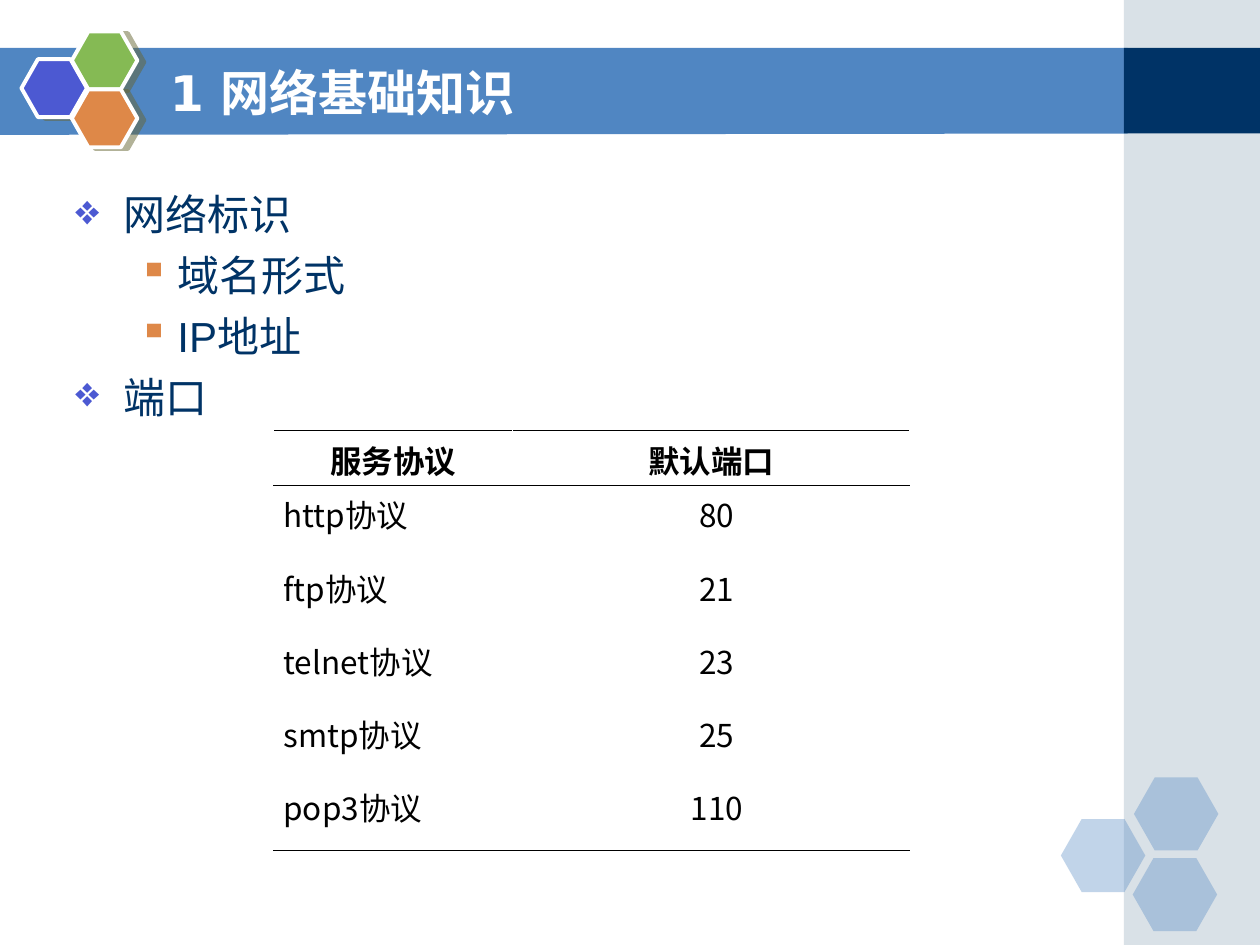
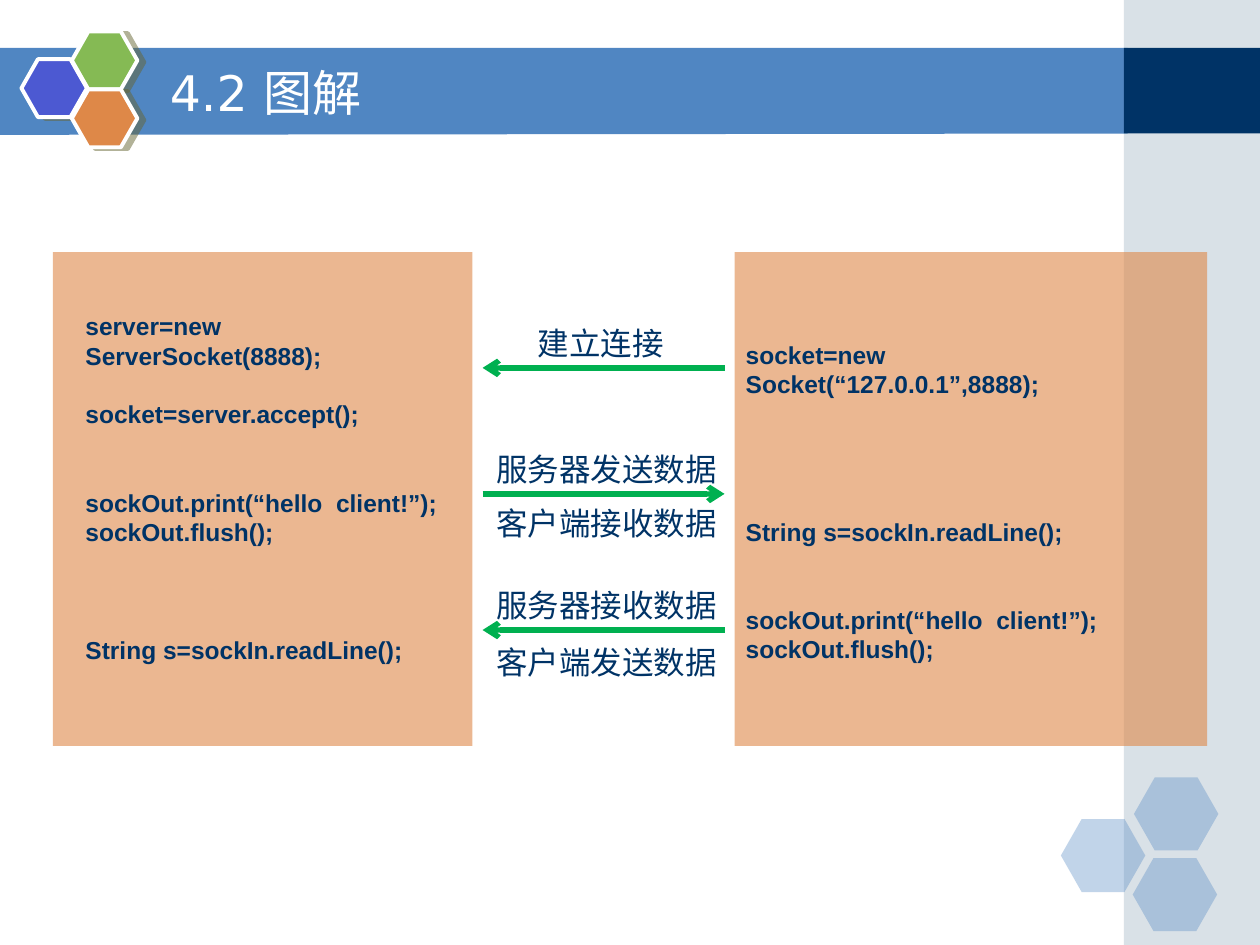
from lxml.etree import SubElement
from pptx import Presentation
from pptx.dml.color import RGBColor
from pptx.enum.shapes import MSO_CONNECTOR, MSO_SHAPE
from pptx.enum.text import MSO_ANCHOR, PP_ALIGN
from pptx.oxml.ns import qn
from pptx.util import Inches, Pt

COLORS = {
    "band": "5086C2", "side": "A0B5C4", "navy": "003366", "white": "FFFFFF",
    "black": "000000", "violet": "4C59D2", "green": "85BA54",
    "orange": "DE8848", "arrow": "00B050", "shadow": "666633",
}
CJK_FONT = "Noto Sans CJK SC"
CJK_LINE = 1.29
CODE_LINE = 16.8

TITLE = {"size": Pt(28), "name": "DejaVu Sans"}
TOPIC = {"size": Pt(24), "name": "DejaVu Sans"}
DETAIL = {"size": Pt(24), "name": "Arial"}
LABEL = {"size": Pt(18), "name": "Arial"}
CODE = {"size": Pt(14), "name": "Arial", "bold": True}
CELL = {"size": Pt(18), "name": "Calibri", "bold": False}
VALUE = {**CELL, "name": CJK_FONT}

BULLETS = {
    0: {"char": "❖", "color": "violet", "left": 0.38, "hang": -0.38, "font": TOPIC},
    1: {"char": "▪", "color": "orange", "left": 0.81, "hang": -0.31, "font": DETAIL},
}
TOPICS = [(0, "网络标识"), (1, "域名形式"), (1, "IP地址"), (0, "端口")]
PORTS = [("http", "80"), ("ftp", "21"), ("telnet", "23"), ("smtp", "25"), ("pop3", "110")]

SERVER_CODE = [
    (0, "server=new ServerSocket(8888);"),
    (1, "socket=server.accept();"),
    (2, "sockOut.print(“hello  client!”);"),
    (0, "sockOut.flush();"),
    (3, "String s=sockIn.readLine();"),
]
CLIENT_CODE = [
    (0, "socket=new Socket(“127.0.0.1”,8888);"),
    (4, "String s=sockIn.readLine();"),
    (2, "sockOut.print(“hello  client!”);"),
    (0, "sockOut.flush();"),
]


def rgb(color):
    """Return the named colour."""
    return RGBColor.from_string(COLORS[color])


def inches(box):
    """Turn the numbers of a box into lengths."""
    return [Inches(value) for value in box]


def add_span(para, text, style, color):
    """Add a run of text with its format and East Asian font."""
    span = para.add_run()
    span.text = text
    for name, value in style.items():
        setattr(span.font, name, value)
    span.font.color.rgb = rgb(color)
    SubElement(span.font._element, qn("a:ea"), typeface=CJK_FONT)


def add_text_frame(page, box, wrap=True):
    """Add an empty text box and return its frame."""
    frame = page.shapes.add_textbox(*inches(box)).text_frame
    frame.word_wrap = wrap
    return frame


def paragraphs(frame, count):
    """Return the given number of paragraphs of a frame."""
    return [frame.paragraphs[0]] + [frame.add_paragraph() for _ in range(count - 1)]


def paint(shape, color, alpha=None):
    """Fill a shape without outline or shadow."""
    shape.shadow.inherit = False
    shape.fill.solid()
    shape.fill.fore_color.rgb = rgb(color)
    shape.line.fill.background()
    if alpha:
        fill = shape._element.spPr.find(qn("a:solidFill"))
        SubElement(fill[0], qn("a:alpha"), val=str(alpha * 1000))


def add_block(page, kind, box, color, alpha=None):
    """Add a painted preset shape."""
    shape = page.shapes.add_shape(kind, *inches(box))
    paint(shape, color, alpha)
    return shape


def add_hexagon(page, box, color, alpha=None):
    """Add a painted regular hexagon."""
    hexagon = add_block(page, MSO_SHAPE.HEXAGON, box, color, alpha)
    hexagon.adjustments[0] = 0.285
    return hexagon


def add_badge(page, left, top):
    """Add the three outlined hexagons on the title band."""
    for x, y, color in [(0, 0.22, "violet"), (0.4, 0, "green"), (0.4, 0.46, "orange")]:
        hexagon = add_hexagon(page, (left + x, top + y, 0.52, 0.46), color)
        hexagon.line.color.rgb = rgb("white")
        hexagon.line.width = Pt(2.25)
        effects = hexagon._element.spPr.find(qn("a:effectLst"))
        shadow = SubElement(effects, qn("a:outerShdw"), dist=str(Pt(4.1)),
                            dir=str(14 * 60000), algn="ctr", rotWithShape="0")
        tint = SubElement(shadow, qn("a:srgbClr"), val=COLORS["shadow"])
        SubElement(tint, qn("a:alpha"), val="50000")


def add_corner(page, left, top):
    """Add the three pale hexagons of the lower corner."""
    for x, y in [(0, 0.33), (0.58, 0), (0.57, 0.64)]:
        add_hexagon(page, (left + x, top + y, 0.67, 0.58), "band", 35)


def add_frame(page, title, bold):
    """Add the shared bands, hexagons and title."""
    builder = page.shapes.build_freeform(Inches(-0.01), Inches(0.38))
    corners = [(8.95, 0.38), (8.95, 1.06), (-0.01, 1.07)]
    builder.add_line_segments([inches(corner) for corner in corners])
    paint(builder.convert_to_shape(), "band")
    add_block(page, MSO_SHAPE.RECTANGLE, (8.92, 0, 1.08, 7.5), "side", 40)
    add_block(page, MSO_SHAPE.RECTANGLE, (8.92, 0.38, 1.08, 0.68), "navy")
    add_corner(page, 8.42, 6.17)
    add_badge(page, 0.17, 0.25)
    frame = add_text_frame(page, (1.25, 0.42, 7.33, 0.62))
    frame.vertical_anchor = MSO_ANCHOR.MIDDLE
    add_span(frame.paragraphs[0], title, {**TITLE, "bold": bold}, "white")


def add_topics(page, box):
    """Add the bulleted outline."""
    frame = add_text_frame(page, box)
    for para, (level, text) in zip(paragraphs(frame, len(TOPICS)), TOPICS):
        bullet = BULLETS[level]
        para.level = level
        para.line_spacing = Pt(24 * CJK_LINE)
        para.space_before = Pt(3.8)
        add_span(para, text, bullet["font"], "navy")
        props = para._p.get_or_add_pPr()
        props.set("marL", str(Inches(bullet["left"])))
        props.set("indent", str(Inches(bullet["hang"])))
        tint = SubElement(props, qn("a:buClr"))
        SubElement(tint, qn("a:srgbClr"), val=COLORS[bullet["color"]])
        SubElement(props, qn("a:buChar"), char=bullet["char"])


def format_cell(cell, rules):
    """Set the margins, borders and empty fill of a cell."""
    margins = {"margin_left": 0.08, "margin_right": 0.08,
               "margin_top": 0.05, "margin_bottom": 0.05}
    for name, value in margins.items():
        setattr(cell, name, Inches(value))
    props = cell._tc.get_or_add_tcPr()
    borders = {"L": ("white", 0.45), "R": ("white", 0.45), **rules}
    for side, (color, width) in borders.items():
        border = SubElement(props, qn("a:ln" + side), w=str(Pt(width)))
        fill = SubElement(border, qn("a:solidFill"))
        SubElement(fill, qn("a:srgbClr"), val=COLORS[color])
    cell.fill.background()


def add_ports(page, box):
    """Add the table of protocols and their ports."""
    table = page.shapes.add_table(len(PORTS) + 1, 2, *inches(box)).table
    table.first_row = table.horz_banding = False
    for column, width in zip(table.columns, (1.9, 3.15)):
        column.width = Inches(width)
    for index, row in enumerate(table.rows):
        row.height = Inches(0.58 if index else 0.43)
    thick, thin = ("black", 0.75), ("black", 0.45)
    rules = {0: {"T": thick, "B": thin}, 1: {"T": thin}, len(PORTS): {"B": thick}}
    for index, row in enumerate(table.rows):
        for cell in row.cells:
            format_cell(cell, rules.get(index, {}))
    for column, text in enumerate(("服务协议", "默认端口")):
        para = table.cell(0, column).text_frame.paragraphs[0]
        para.alignment = PP_ALIGN.CENTER
        add_span(para, text, {**CELL, "bold": True}, "black")
    for index, (protocol, port) in enumerate(PORTS, 1):
        name, value = [cell.text_frame.paragraphs[0] for cell in table.rows[index].cells]
        add_span(name, protocol, VALUE, "black")
        add_span(name, "协议", CELL, "black")
        value.alignment = PP_ALIGN.CENTER
        value._p.get_or_add_pPr().set("marL", str(Inches(0.09)))
        add_span(value, port, VALUE, "black")


def add_code(page, box, lines, wrap):
    """Add code whose lines carry the number of lines left free above."""
    frame = add_text_frame(page, box, wrap)
    for para, (gap, text) in zip(paragraphs(frame, len(lines)), lines):
        para.line_spacing = Pt(CODE_LINE)
        para.space_before = Pt(gap * CODE_LINE)
        add_span(para, text, CODE, "navy")


def add_label(page, box, text):
    """Add a caption beside an arrow."""
    para = add_text_frame(page, box, False).paragraphs[0]
    para.line_spacing = Pt(18 * CJK_LINE)
    add_span(para, text, LABEL, "navy")


def add_arrow(page, start, end, y):
    """Add a level arrow."""
    arrow = page.shapes.add_connector(MSO_CONNECTOR.STRAIGHT, *inches((start, y, end, y)))
    arrow.line.color.rgb = rgb("arrow")
    arrow.line.width = Pt(3)
    SubElement(arrow.line._get_or_add_ln(), qn("a:tailEnd"), type="arrow")
    SubElement(arrow._element.spPr, qn("a:effectLst"))


def add_exchange(page, left, right):
    """Add the messages between server and client."""
    for y, start, end in [(2.92, right, left), (3.92, left, right), (5, right, left)]:
        add_arrow(page, start, end, y)
    add_label(page, (left + 0.34, 2.5, 1.2, 0.4), "建立连接")
    labels = [(3.5, "服务器发送数据"), (3.93, "客户端接收数据"),
              (4.58, "服务器接收数据"), (5.03, "客户端发送数据")]
    for top, text in labels:
        add_label(page, (left + 0.01, top, 1.95, 0.4), text)


def build_basics(page):
    """Build the slide on network identifiers and ports."""
    add_frame(page, "1 网络基础知识", True)
    add_topics(page, (0.5, 1.42, 9, 5.5))
    add_ports(page, (2.17, 3.42, 5.05, 3.34))


def build_diagram(page):
    """Build the slide on the socket exchange."""
    add_frame(page, "4.2 图解", False)
    for left, width in [(5.83, 3.75), (0.42, 3.33)]:
        add_block(page, MSO_SHAPE.RECTANGLE, (left, 2, width, 3.92), "orange", 60)
    add_exchange(page, 3.83, 5.75)
    add_code(page, (0.58, 2.42, 3.07, 3.37), SERVER_CODE, True)
    add_code(page, (5.82, 2.65, 3.69, 3.14), CLIENT_CODE, False)


def main():
    """Build and save the deck."""
    deck = Presentation()
    deck.slide_width, deck.slide_height = Inches(10), Inches(7.5)
    for build in (build_basics, build_diagram):
        build(deck.slides.add_slide(deck.slide_layouts[6]))
    deck.save("out.pptx")


if __name__ == "__main__":
    main()
